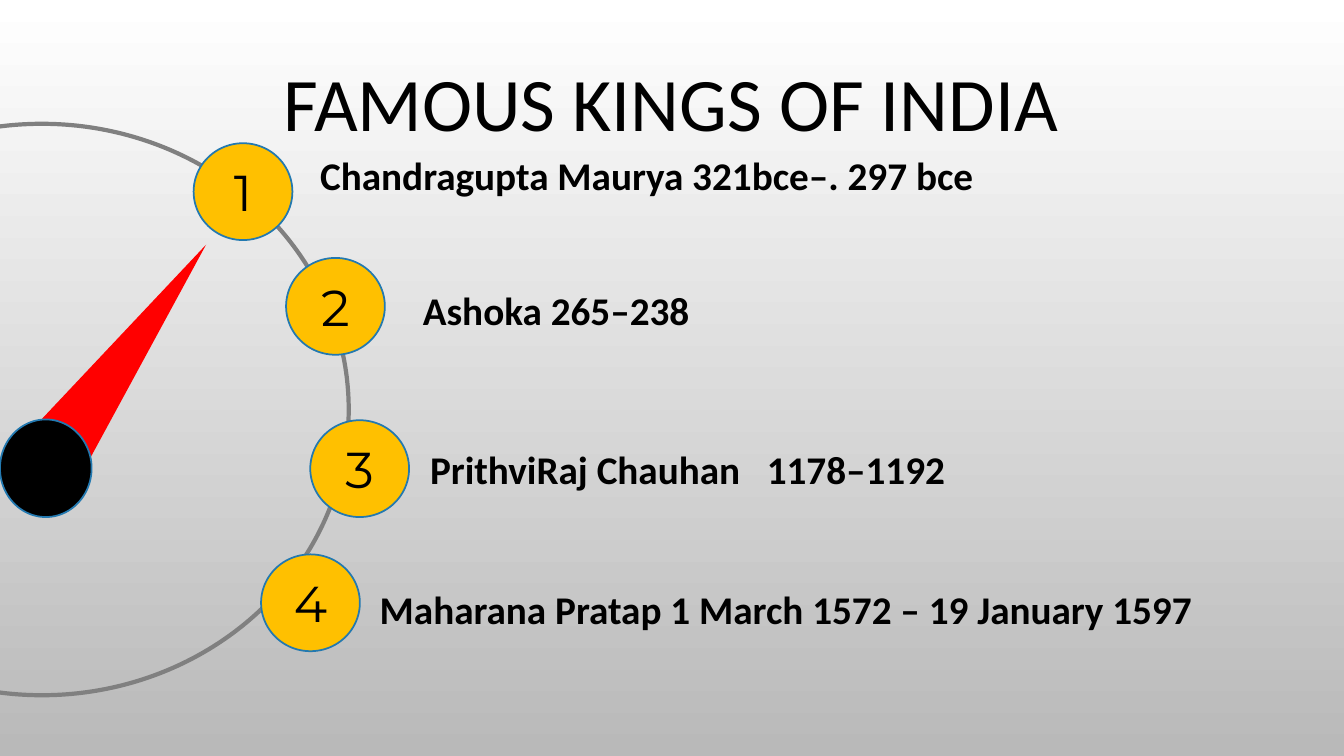
from pptx import Presentation
from pptx.dml.color import RGBColor
from pptx.enum.shapes import MSO_SHAPE
from pptx.enum.text import MSO_ANCHOR, MSO_AUTO_SIZE, PP_ALIGN
from pptx.util import Cm, Pt

ARC, OVAL, TRIANGLE = MSO_SHAPE.ARC, MSO_SHAPE.OVAL, MSO_SHAPE.ISOSCELES_TRIANGLE
LEFT, CENTER = PP_ALIGN.LEFT, PP_ALIGN.CENTER
TOP, MIDDLE, BOTTOM = MSO_ANCHOR.TOP, MSO_ANCHOR.MIDDLE, MSO_ANCHOR.BOTTOM
COLORS = {"text": "000000", "hub": "000000", "needle": "FF0000", "dial": "808080",
          "marker": "FFC000", "outline": "2379B0", "sky": "FFFFFF", "ground": "B9B9B9"}


def rgb(name):
    return RGBColor.from_string(COLORS[name])


def write(shape, text, size, font="Calibri", bold=False, align=LEFT, anchor=TOP):
    frame = shape.text_frame
    frame.word_wrap = True
    frame.auto_size = MSO_AUTO_SIZE.NONE
    frame.vertical_anchor = anchor
    paragraph = frame.paragraphs[0]
    paragraph.alignment = align
    run = paragraph.add_run()
    run.text = text
    run.font.name, run.font.size, run.font.bold = font, Pt(size), bold
    run.font.color.rgb = rgb("text")
    return paragraph


def add_part(kind, left, top, width, height, fill=None, line=None, line_width=1.25):
    """Add a preset shape, in cm, with no shadow and only the fill and line given."""
    part = slide.shapes.add_shape(kind, Cm(left), Cm(top), Cm(width), Cm(height))
    part.shadow.inherit = False
    if fill:
        part.fill.solid()
        part.fill.fore_color.rgb = rgb(fill)
    else:
        part.fill.background()
    if line:
        part.line.color.rgb = rgb(line)
        part.line.width = Pt(line_width)
    else:
        part.line.fill.background()
    return part


prs = Presentation()
prs.slide_width, prs.slide_height = Cm(33.87), Cm(19.05)
slide = prs.slides.add_slide(prs.slide_layouts[5])

backdrop = slide.background.fill
backdrop.gradient()
backdrop.gradient_angle = 270
for stop, color in zip(backdrop.gradient_stops, ("sky", "ground")):
    stop.color.rgb = rgb(color)

title = slide.shapes.title
title.left, title.top, title.width, title.height = Cm(4.85), Cm(1.17), Cm(24.13), Cm(2.67)
heading = write(title, "FAMOUS KINGS OF INDIA", 54, align=CENTER, anchor=BOTTOM)
heading.line_spacing = 0.9

# Dial with its needle
needle = add_part(TRIANGLE, 2.26, 5.51, 1.8, 6.93, fill="needle")
needle.rotation = 35.9
add_part(OVAL, 0, 10.57, 2.31, 2.46, fill="hub", line="outline")
dial = add_part(ARC, -6.68, 3.12, 15.47, 14.4, line="dial", line_width=3)
dial.adjustments[0], dial.adjustments[1] = 156.31, 59.56

# King, marker left and top, label left, top and width
kings = [
    ("Chandragupta Maurya 321bce–. 297 bce", 4.88, 3.61, 7.82, 3.68, 17.81),
    ("Ashoka 265–238", 7.21, 6.5, 10.41, 7.09, 13.16),
    ("PrithviRaj Chauhan   1178–1192", 7.82, 10.59, 10.59, 11.1, 18.77),
    ("Maharana Pratap 1 March 1572 – 19 January 1597", 6.58, 13.97, 9.32, 14.63, 22.35),
]
for number, (king, marker_left, marker_top, left, top, width) in enumerate(kings, 1):
    marker = add_part(OVAL, marker_left, marker_top, 2.49, 2.44, fill="marker", line="outline")
    write(marker, str(number), 36, font="Montserrat", align=CENTER, anchor=MIDDLE)
    label = slide.shapes.add_textbox(Cm(left), Cm(top), Cm(width), Cm(1.45))
    write(label, king, 28, bold=True)

prs.save("out.pptx")
